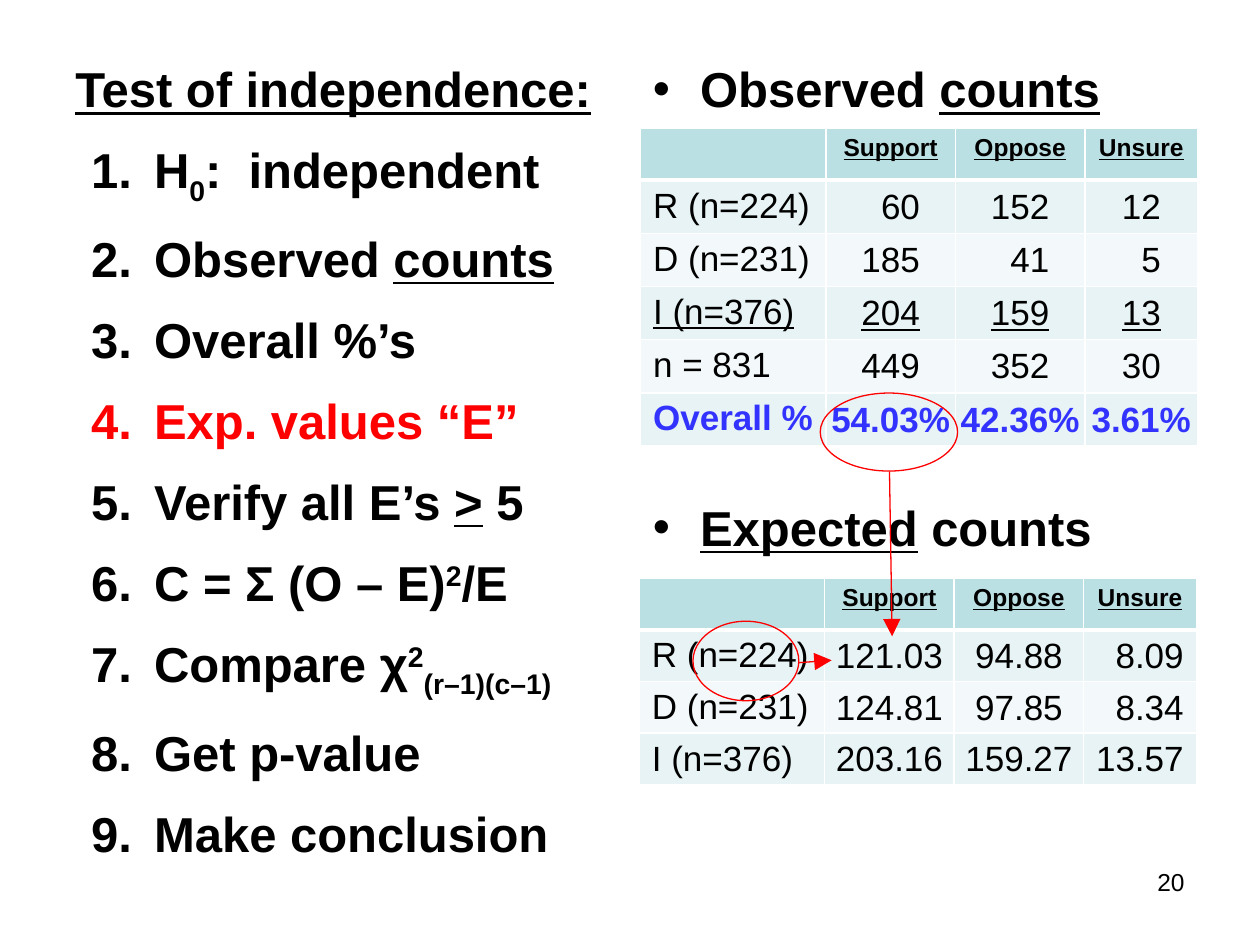
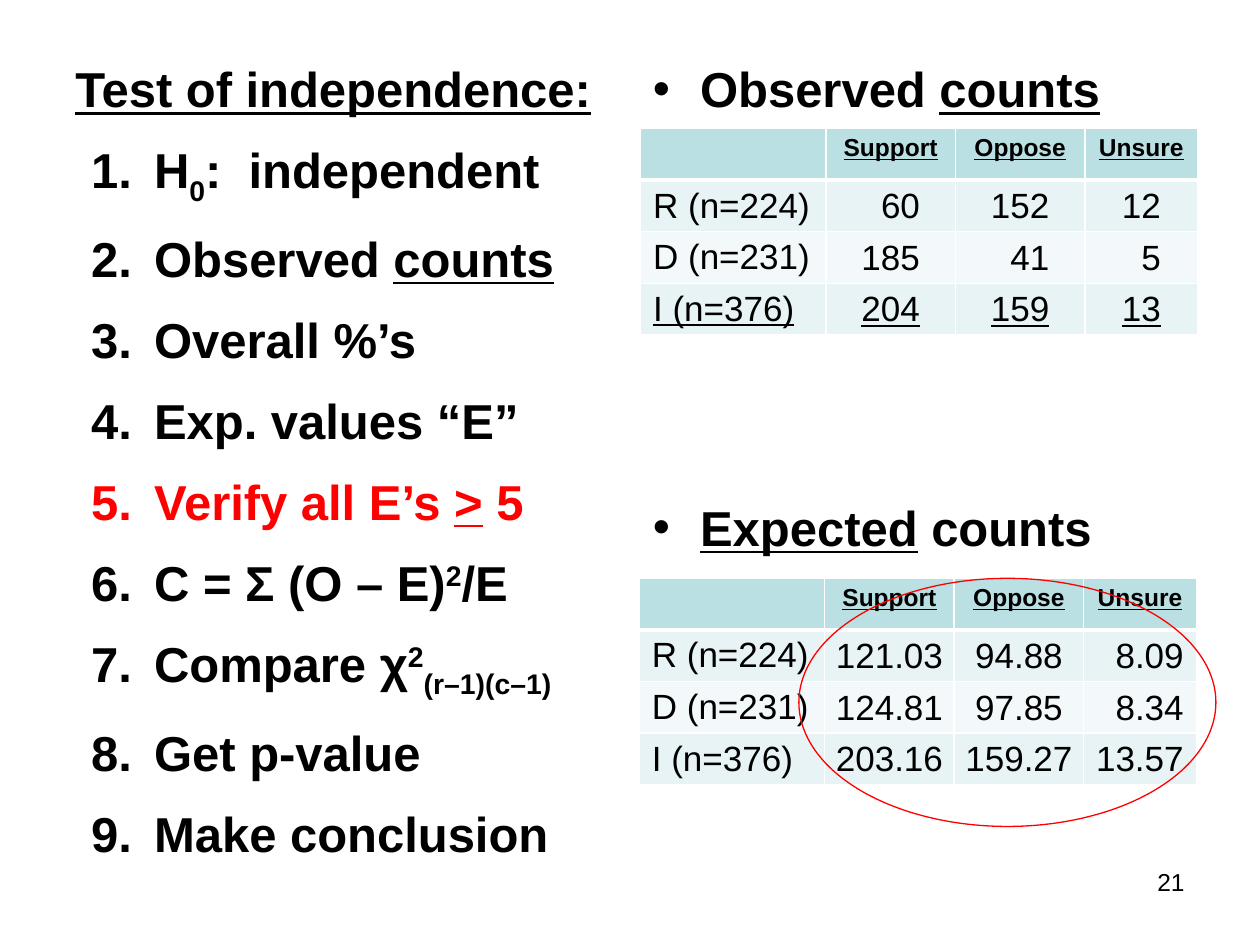
from pptx import Presentation
from pptx.dml.color import RGBColor
from pptx.enum.shapes import MSO_CONNECTOR as Connector, MSO_SHAPE as Shape
from pptx.enum.text import MSO_ANCHOR as Anchor, PP_ALIGN as Align
from pptx.oxml.ns import qn
from pptx.util import Pt
from lxml.etree import SubElement

BLACK = RGBColor(0, 0, 0)
WHITE = RGBColor(255, 255, 255)
RED = RGBColor(255, 0, 0)
BLUE = RGBColor(0x33, 0x33, 0xFF)
HEADER_TEAL = RGBColor(0xBB, 0xE0, 0xE3)
BANDS = (RGBColor(0xE7, 0xF3, 0xF4), RGBColor(0xF3, 0xF9, 0xFA))
FONT = "Arial"
BASELINES = {"sub": "-25000", "sup": "30000"}

# Each line is a list of (text, style) runs
HEADING = [("Test of independence:", "u")]
STEPS = [
    [("H", ""), ("0", "sub"), (":  independent", "")],
    [("Observed ", ""), ("counts", "u")],
    [("Overall %’s", "")],
    [("Exp. values “E”", "")],
    [("Verify all E’s ", ""), (">", "u"), (" 5", "")],
    [("C = Σ (O – E)", ""), ("2", "sup"), ("/E", "")],
    [("Compare χ", ""), ("2", "sup"), ("(r–1)(c–1)", "sub")],
    [("Get p-value", "")],
    [("Make conclusion", "")],
]
TABLE_TITLES = [
    [("Observed ", ""), ("counts", "u")],
    [("Expected", "u"), (" counts", "")],
]
HEADER = ("", "Support", "Oppose", "Unsure")
OBSERVED = [
    ("R (n=224)", "60", "152", "12"),
    ("D (n=231)", "185", "41", "5"),
    ("I (n=376)", "204", "159", "13"),
]
TOTALS = [
    ("n = 831", "449", "352", "30"),
    ("Overall %", "54.03%", "42.36%", "3.61%"),
]
EXPECTED = [
    ("R (n=224)", "121.03", "94.88", "8.09"),
    ("D (n=231)", "124.81", "97.85", "8.34"),
    ("I (n=376)", "203.16", "159.27", "13.57"),
]
COLUMN_WIDTHS = (106, 74, 74, 64.4)
# Right insets that line up the digits; None centres the column
OBSERVED_INSETS = (None, 20.3, 20.3, 21)
EXPECTED_INSETS = (None, None, None, 7.2)


def write_line(paragraph, runs, color=BLACK):
    for text, style in runs:
        run = paragraph.add_run()
        run.text = text
        run.font.name, run.font.size, run.font.bold = FONT, Pt(28), True
        run.font.underline = style == "u"
        run.font.color.rgb = color
        if style in BASELINES:
            run.font._element.set("baseline", BASELINES[style])


def add_counts(slide, left, top, row_height, rows, insets, underlined_row=None):
    table = slide.shapes.add_table(
        len(rows) + 1, len(HEADER), Pt(left), Pt(top),
        Pt(sum(COLUMN_WIDTHS)), Pt(29.6 + row_height * len(rows))).table
    table.horz_banding = False
    for column, width in zip(table.columns, COLUMN_WIDTHS):
        column.width = Pt(width)
    for r, values in enumerate([HEADER] + rows):
        table.rows[r].height = Pt(row_height if r else 29.6)
        for c, value in enumerate(values):
            cell = table.cell(r, c)
            # White borders, thicker under the header
            for side in "LRTB":
                thick = (r == 0 and side == "B") or (r == 1 and side == "T")
                border = SubElement(cell._tc.get_or_add_tcPr(), qn("a:ln" + side),
                                    w=str(Pt(3 if thick else 1)))
                SubElement(SubElement(border, qn("a:solidFill")),
                           qn("a:srgbClr"), val=str(WHITE))
            cell.fill.solid()
            cell.fill.fore_color.rgb = BANDS[(r - 1) % 2] if r else HEADER_TEAL
            cell.text_frame.text = value
            paragraph = cell.text_frame.paragraphs[0]
            overall = values[0] == "Overall %"
            if r and c == 0:
                cell.margin_right = cell.margin_bottom = 0
            elif r and insets[c] and not overall:
                paragraph.alignment = Align.RIGHT
                cell.margin_right = Pt(insets[c])
            else:
                paragraph.alignment = Align.CENTER
            if r and c:
                cell.vertical_anchor = Anchor.MIDDLE
                cell.margin_left = cell.margin_top = Pt(0.72)
                cell.margin_bottom = 0
                if paragraph.alignment == Align.CENTER:
                    cell.margin_right = Pt(0.72)
            font = paragraph.font
            if paragraph.runs:
                font = paragraph.runs[0].font
            font.name, font.size = FONT, Pt(20 if r else 14)
            font.bold = r == 0 or overall
            font.underline = r == 0 or r == underlined_row
            font.color.rgb = BLUE if overall else BLACK


prs = Presentation()
prs.slide_width, prs.slide_height = Pt(720), Pt(540)

# Page number, highlighted step, observed rows and their height,
# ellipses (left, top, width, height), arrows (from x, y, to x, y)
PAGES = [
    ("20", 4, OBSERVED + TOTALS, 30.4,
     [(468.7, 224.6, 78.5, 44.6), (396, 355, 60.5, 45.4)],
     [(508.3, 269.3, 509.8, 363.6), (456.5, 378.7, 475.2, 377.3)]),
    ("21", 5, OBSERVED, 29.5, [(456.5, 330.5, 238.3, 141.8)], []),
]

for number, current_step, observed, observed_height, ellipses, arrows in PAGES:
    slide = prs.slides.add_slide(prs.slide_layouts[6])

    # Two text columns
    columns = []
    for left in (36, 366):
        box = slide.shapes.add_textbox(Pt(left), Pt(27), Pt(318), Pt(459))
        box.fill.solid()
        box.fill.fore_color.rgb = WHITE
        box.text_frame.word_wrap = True
        box.text_frame.margin_top = Pt(6.7)
        columns.append(box.text_frame)
    steps, titles = columns

    # Numbered steps with the current one in red
    write_line(steps.paragraphs[0], HEADING)
    for step_number, step in enumerate(STEPS, 1):
        paragraph = steps.add_paragraph()
        paragraph.space_before = Pt(12.6)
        properties = paragraph._p.get_or_add_pPr()
        properties.set("marL", str(Pt(45)))
        properties.set("indent", str(Pt(-36)))
        SubElement(properties, qn("a:buFont"), typeface=FONT)
        SubElement(properties, qn("a:buAutoNum"), type="arabicPeriod")
        write_line(paragraph, step, RED if step_number == current_step else BLACK)

    # Bulleted table titles
    for index, title in enumerate(TABLE_TITLES):
        paragraph = titles.add_paragraph() if index else titles.paragraphs[0]
        if index:
            paragraph.space_before = Pt(217)
        properties = paragraph._p.get_or_add_pPr()
        properties.set("marL", str(Pt(27)))
        properties.set("indent", str(Pt(-27)))
        SubElement(properties, qn("a:buFont"), typeface=FONT)
        SubElement(properties, qn("a:buChar"), char="•")
        write_line(paragraph, title)

    # Page number
    footer = slide.shapes.add_textbox(Pt(516), Pt(492), Pt(168), Pt(37.5)).text_frame
    footer.word_wrap = True
    footer.text = number
    footer.paragraphs[0].alignment = Align.RIGHT
    font = footer.paragraphs[0].runs[0].font
    font.name, font.size, font.color.rgb = FONT, Pt(14), BLACK

    # Count tables
    add_counts(slide, 366, 73.3, observed_height, observed, OBSERVED_INSETS, 3)
    add_counts(slide, 365.3, 330.4, 29.5, EXPECTED, EXPECTED_INSETS)

    # Red marks
    for left, top, width, height in ellipses:
        ellipse = slide.shapes.add_shape(
            Shape.OVAL, Pt(left), Pt(top), Pt(width), Pt(height))
        ellipse.shadow.inherit = False
        ellipse.fill.background()
        ellipse.line.color.rgb, ellipse.line.width = RED, Pt(0.75)
    for points in arrows:
        arrow = slide.shapes.add_connector(Connector.STRAIGHT, *map(Pt, points))
        arrow.line.color.rgb, arrow.line.width = RED, Pt(0.75)
        SubElement(arrow.line._get_or_add_ln(), qn("a:tailEnd"),
                   type="triangle", w="lg", len="lg")
        SubElement(arrow._element.spPr, qn("a:effectLst"))

prs.save("out.pptx")
